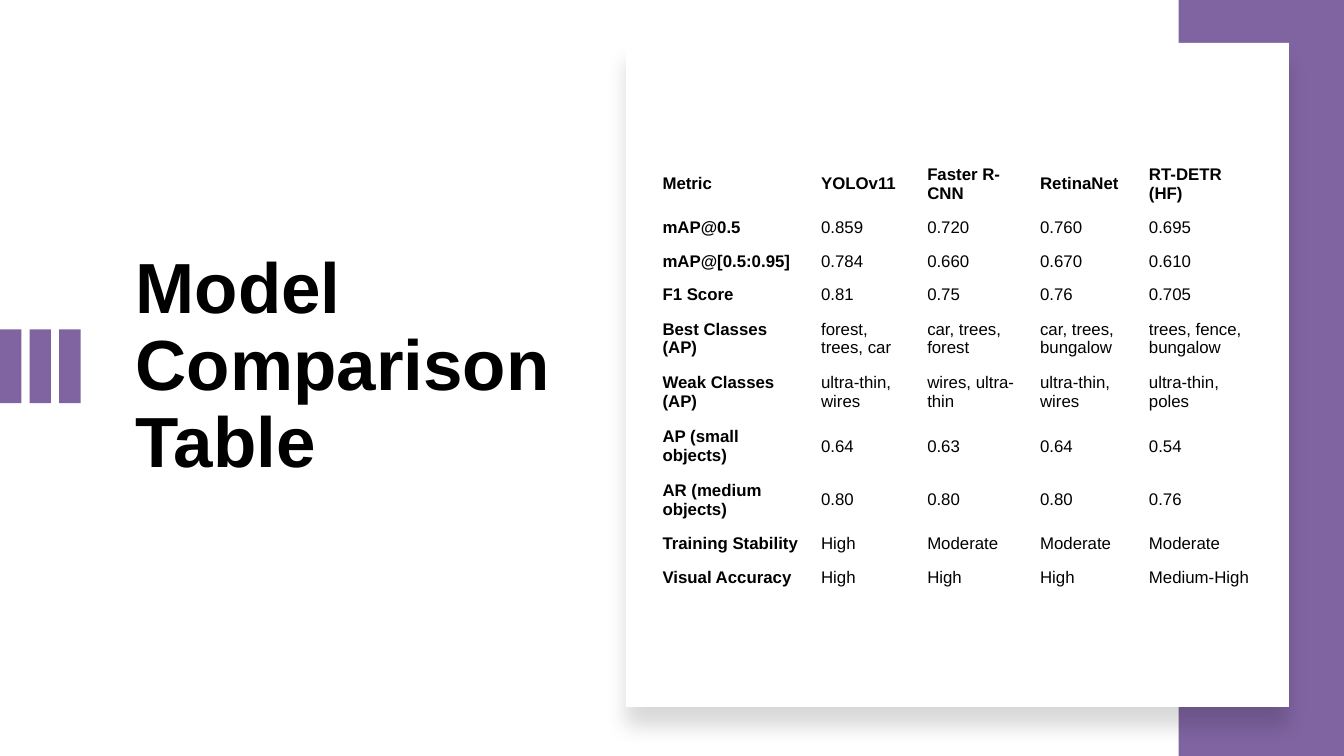
from lxml import etree
from pptx import Presentation
from pptx.dml.color import RGBColor
from pptx.enum.shapes import MSO_SHAPE
from pptx.enum.text import MSO_ANCHOR, MSO_AUTO_SIZE, PP_ALIGN
from pptx.oxml.ns import qn
from pptx.util import Inches, Pt

RECTANGLE = MSO_SHAPE.RECTANGLE
TOP, MIDDLE = MSO_ANCHOR.TOP, MSO_ANCHOR.MIDDLE
LEFT = PP_ALIGN.LEFT
NO_AUTOFIT = MSO_AUTO_SIZE.NONE
FONT = "Arial"
COLORS = {"text": "000000", "accent": "8064A2", "panel": "FFFFFF"}
SLIDE_WIDTH = 10
SLIDE_HEIGHT = SLIDE_WIDTH * 9 / 16


def add_rectangle(shapes, left, top, width, height, color):
    rectangle = shapes.add_shape(
        RECTANGLE, Inches(left), Inches(top), Inches(width), Inches(height)
    )
    rectangle.fill.solid()
    rectangle.fill.fore_color.rgb = RGBColor.from_string(COLORS[color])
    rectangle.line.fill.background()
    rectangle.shadow.inherit = False
    return rectangle


def add_text(paragraph, text, size, bold):
    run = paragraph.add_run()
    run.text = text
    run.font.name = FONT
    run.font.size = Pt(size)
    run.font.bold = bold
    run.font.color.rgb = RGBColor.from_string(COLORS["text"])


prs = Presentation()
prs.slide_width = Inches(SLIDE_WIDTH)
prs.slide_height = Inches(SLIDE_HEIGHT)
slide = prs.slides.add_slide(prs.slide_layouts[5])

title = slide.shapes.title
title.left, title.top = Inches(0.91), Inches(1.83)
title.width, title.height = Inches(3.31), Inches(1.96)
title_frame = title.text_frame
title_frame.word_wrap = True
title_frame.auto_size = NO_AUTOFIT
title_frame.vertical_anchor = TOP
heading = title_frame.paragraphs[0]
heading.alignment = LEFT
heading.line_spacing = 0.9
add_text(heading, "Model Comparison Table", 38, True)

stripes = slide.shapes.add_group_shape()
for i in range(3):
    add_rectangle(stripes.shapes, 0.22 * i, 2.45, 0.16, 0.55, "accent")

add_rectangle(slide.shapes, 8.77, 0, 1.23, SLIDE_HEIGHT, "accent")

panel = add_rectangle(slide.shapes, 4.66, 0.32, 4.93, 4.94, "panel")
effects = panel.element.spPr.find(qn("a:effectLst"))
panel_shadow = etree.SubElement(
    effects, qn("a:outerShdw"),
    blurRad=str(Pt(11)), dist=str(Pt(10)), dir=str(90 * 60000),
    algn="t", rotWithShape="0",
)
shadow_color = etree.SubElement(panel_shadow, qn("a:srgbClr"), val=COLORS["text"])
etree.SubElement(shadow_color, qn("a:alpha"), val="15000")

comparison = [
    ["Metric", "YOLOv11", "Faster R-CNN", "RetinaNet", "RT-DETR (HF)"],
    ["mAP@0.5", "0.859", "0.720", "0.760", "0.695"],
    ["mAP@[0.5:0.95]", "0.784", "0.660", "0.670", "0.610"],
    ["F1 Score", "0.81", "0.75", "0.76", "0.705"],
    ["Best Classes (AP)", "forest, trees, car", "car, trees, forest",
     "car, trees, bungalow", "trees, fence, bungalow"],
    ["Weak Classes (AP)", "ultra-thin, wires", "wires, ultra-thin",
     "ultra-thin, wires", "ultra-thin, poles"],
    ["AP (small objects)", "0.64", "0.63", "0.64", "0.54"],
    ["AR (medium objects)", "0.80", "0.80", "0.80", "0.76"],
    ["Training Stability", "High", "Moderate", "Moderate", "Moderate"],
    ["Visual Accuracy", "High", "High", "High", "Medium-High"],
]
column_widths = [1.18, 0.79, 0.84, 0.81, 0.92]
row_heights = [0.4, 0.25, 0.25, 0.25, 0.4, 0.4, 0.4, 0.4, 0.25, 0.25]

metrics = slide.shapes.add_table(
    len(row_heights), len(column_widths), Inches(4.86), Inches(1.17),
    Inches(sum(column_widths)), Inches(sum(row_heights)),
).table
metrics.first_row = False
metrics.horz_banding = False
for column, width in zip(metrics.columns, column_widths):
    column.width = Inches(width)
for r, (values, height) in enumerate(zip(comparison, row_heights)):
    metrics.rows[r].height = Inches(height)
    for c, value in enumerate(values):
        cell = metrics.cell(r, c)
        cell.fill.background()
        cell.vertical_anchor = MIDDLE
        cell.margin_left = cell.margin_right = Inches(0.07)
        cell.margin_top = cell.margin_bottom = Inches(0.03)
        add_text(cell.text_frame.paragraphs[0], value, 9, r == 0 or c == 0)

prs.save("out.pptx")
